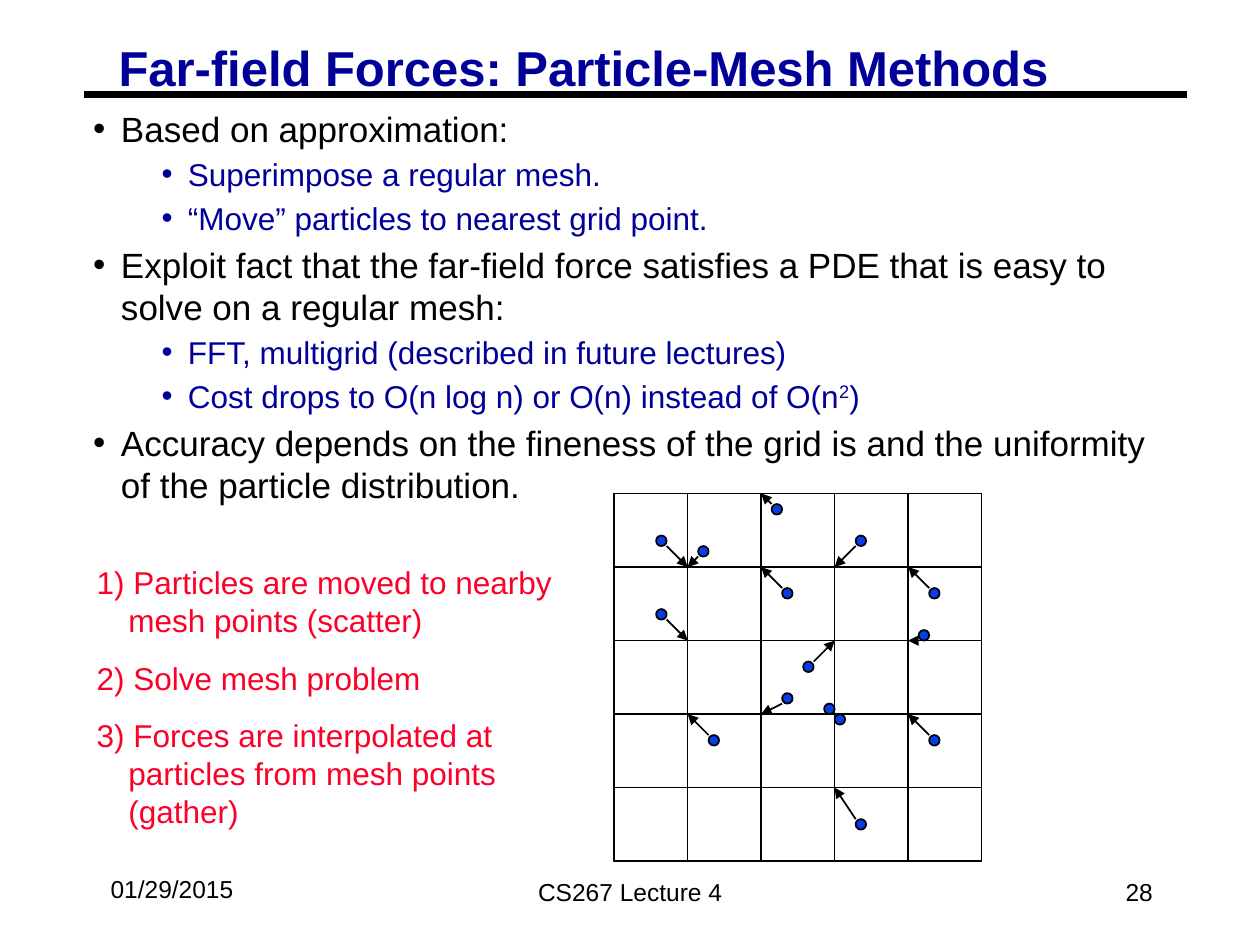
from lxml.etree import SubElement
from pptx import Presentation
from pptx.dml.color import RGBColor
from pptx.enum.shapes import MSO_CONNECTOR, MSO_SHAPE
from pptx.enum.text import MSO_ANCHOR, PP_ALIGN
from pptx.oxml.ns import qn
from pptx.util import Cm, Pt

BLACK = RGBColor(0x00, 0x00, 0x00)
NAVY = RGBColor(0x00, 0x00, 0x99)
BLUE = RGBColor(0x06, 0x3D, 0xE8)
RED = RGBColor(0xFC, 0x01, 0x28)
FONT = "Arial"
CELL_UNITS = 7
CELL_COUNT = 5

BODY = [
    (0, "Based on approximation:"),
    (1, "Superimpose a regular mesh."),
    (1, "“Move” particles to nearest grid point."),
    (0, "Exploit fact that the far-field force satisfies a PDE that is easy to "
        "solve on a regular mesh:"),
    (1, "FFT, multigrid (described in future lectures)"),
    (1, "Cost drops to O(n log n) or O(n) instead of O(n"),
    (0, "Accuracy depends on the fineness of the grid is and the uniformity "
        "of the particle distribution."),
]
COST_INDEX = 5
LEVELS = [(20, BLACK, 0.56, 0.56, 3.7), (18, NAVY, 1.91, 0.53, 3.4)]
STEPS = [
    "1) Particles are moved to nearby mesh points (scatter)",
    "2) Solve mesh problem",
    "3) Forces are interpolated at particles from mesh points (gather)",
]
# particle position in mesh units, and the mesh node it moves to
PARTICLES = [
    ((4, 4), (1, 1)), ((8, 5), (1, 1)), ((4, 11), (1, 2)),
    ((16, 19), (2, 3)), ((15, 1), (2, 0)), ((18, 16), (3, 2)),
    ((9, 23), (1, 3)), ((20, 20), None), ((29, 13), (4, 2)),
    ((21, 21), None), ((23, 4), (3, 1)), ((23, 31), (3, 4)),
    ((30, 23), (4, 3)), ((30, 9), (4, 1)), ((16, 9), (2, 1)),
]


def add_text_frame(slide, box, inset=(0.25, 0.13)):
    """Add a wrapping text box at (left, top, width, height) in centimetres."""
    text_frame = slide.shapes.add_textbox(*map(Cm, box)).text_frame
    text_frame.word_wrap = True
    text_frame.margin_left = text_frame.margin_right = Cm(inset[0])
    text_frame.margin_top = text_frame.margin_bottom = Cm(inset[1])
    return text_frame


def format_runs(paragraph, size, color, bold=False):
    """Apply one font to every run of a paragraph."""
    for run in paragraph.runs:
        run.font.name = FONT
        run.font.size = Pt(size)
        run.font.bold = bold
        run.font.color.rgb = color


def set_indent(paragraph, left, hanging):
    """Give a paragraph a hanging indent in centimetres."""
    properties = paragraph._p.get_or_add_pPr()
    properties.set("marL", str(Cm(left)))
    properties.set("indent", str(-Cm(hanging)))
    return properties


def add_line(shapes, start, end, width, arrow=False):
    """Draw a black line between two points in centimetres."""
    line = shapes.add_connector(MSO_CONNECTOR.STRAIGHT, *map(Cm, start + end))
    line.line.color.rgb = BLACK
    line.line.width = Pt(width)
    if arrow:
        SubElement(line.line._get_or_add_ln(), qn("a:tailEnd"), type="triangle")
    SubElement(line._element.spPr, qn("a:effectLst"))


def add_outline(shapes, kind, box, fill=None):
    """Draw a black-edged preset shape, filled or hollow."""
    shape = shapes.add_shape(kind, *map(Cm, box))
    shape.shadow.inherit = False
    shape.line.color.rgb = BLACK
    shape.line.width = Pt(1)
    if fill is None:
        shape.fill.background()
    else:
        shape.fill.solid()
        shape.fill.fore_color.rgb = fill


def add_title(slide, box):
    """Write the title above its heavy rule."""
    left, top, width, height = box
    text_frame = add_text_frame(slide, (left + 0.51, top, width - 2.44, height), (0.18, 0.08))
    text_frame.text = "Far-field Forces: Particle-Mesh Methods"
    paragraph = text_frame.paragraphs[0]
    paragraph.line_spacing = 0.87
    format_runs(paragraph, 28, NAVY, bold=True)
    rule_top = top + 1.07
    add_line(slide.shapes, (left, rule_top), (left + width, rule_top), 3.75)


def add_body(slide, box):
    """Write the two-level bullet list."""
    text_frame = add_text_frame(slide, box, (0.18, 0.08))
    text_frame.text = "\n".join(text for _, text in BODY)
    cost = text_frame.paragraphs[COST_INDEX]
    for text in ("2", ")"):
        cost.add_run().text = text
    for index, paragraph in enumerate(text_frame.paragraphs):
        level = BODY[index][0]
        size, color, left, hanging, space = LEVELS[level]
        properties = set_indent(paragraph, left, hanging)
        bullet_color = SubElement(properties, qn("a:buClr"))
        SubElement(bullet_color, qn("a:srgbClr"), val=str(color))
        SubElement(properties, qn("a:buFont"), typeface=FONT)
        SubElement(properties, qn("a:buChar"), char="•")
        paragraph.level = level
        paragraph.space_before = Pt(space if index else 0)
        format_runs(paragraph, size, color)
    cost.runs[1].font._element.set("baseline", "30000")


def add_steps(slide, box):
    """Write the three numbered steps."""
    text_frame = add_text_frame(slide, box)
    text_frame.text = "\n".join(STEPS)
    for index, paragraph in enumerate(text_frame.paragraphs):
        set_indent(paragraph, 0.64, 0.64)
        paragraph.space_before = Pt(11.2 if index else 0)
        format_runs(paragraph, 18, RED)


def add_mesh(slide, box):
    """Draw the mesh, its particles and their moves to mesh nodes."""
    left, top, side = box
    cell = side / CELL_COUNT
    unit = cell / CELL_UNITS
    shapes = slide.shapes.add_group_shape().shapes

    def place(point):
        return left + point[0] * unit, top + point[1] * unit

    for index in range(CELL_COUNT):
        offset = index * cell
        add_outline(shapes, MSO_SHAPE.RECTANGLE, (left + offset, top, cell, side))
        if index != 3:
            add_outline(shapes, MSO_SHAPE.RECTANGLE, (left, top + offset, side, cell))
    for position, node in PARTICLES:
        add_outline(shapes, MSO_SHAPE.OVAL, (*place(position), unit, unit), BLUE)
        if node:
            target = [CELL_UNITS * step for step in node]
            corner = [min(max(goal, near), near + 1) for goal, near in zip(target, position)]
            add_line(shapes, place(corner), place(target), 1, arrow=True)


def add_footer(slide, box):
    """Write the date, lecture name and slide number."""
    left, top, width, height = box
    entries = [
        ("01/29/2015", left, top + 0.13, 3.5, PP_ALIGN.LEFT, MSO_ANCHOR.TOP),
        ("CS267 Lecture 4", left + 6.7, top, 8.05, PP_ALIGN.CENTER, MSO_ANCHOR.MIDDLE),
        ("28", left + width - 5.29, top, 5.29, PP_ALIGN.RIGHT, MSO_ANCHOR.MIDDLE),
    ]
    for text, entry_left, entry_top, entry_width, alignment, anchor in entries:
        text_frame = add_text_frame(slide, (entry_left, entry_top, entry_width, height))
        text_frame.text = text
        text_frame.vertical_anchor = anchor
        paragraph = text_frame.paragraphs[0]
        paragraph.alignment = alignment
        format_runs(paragraph, 14, BLACK)


def main():
    """Build and save the slide."""
    presentation = Presentation()
    presentation.slide_width = Cm(25.4)
    presentation.slide_height = Cm(19.05)
    slide = presentation.slides.add_slide(presentation.slide_layouts[6])
    add_title(slide, (1.7, 0.84, 22.23, 1.17))
    add_body(slide, (1.7, 2.08, 22.23, 8.2))
    add_mesh(slide, (12.38, 9.95, 7.41))
    add_steps(slide, (1.7, 11.23, 9.86, 5.64))
    add_footer(slide, (1.98, 17.35, 21.51, 1.27))
    presentation.save("out.pptx")


if __name__ == "__main__":
    main()
